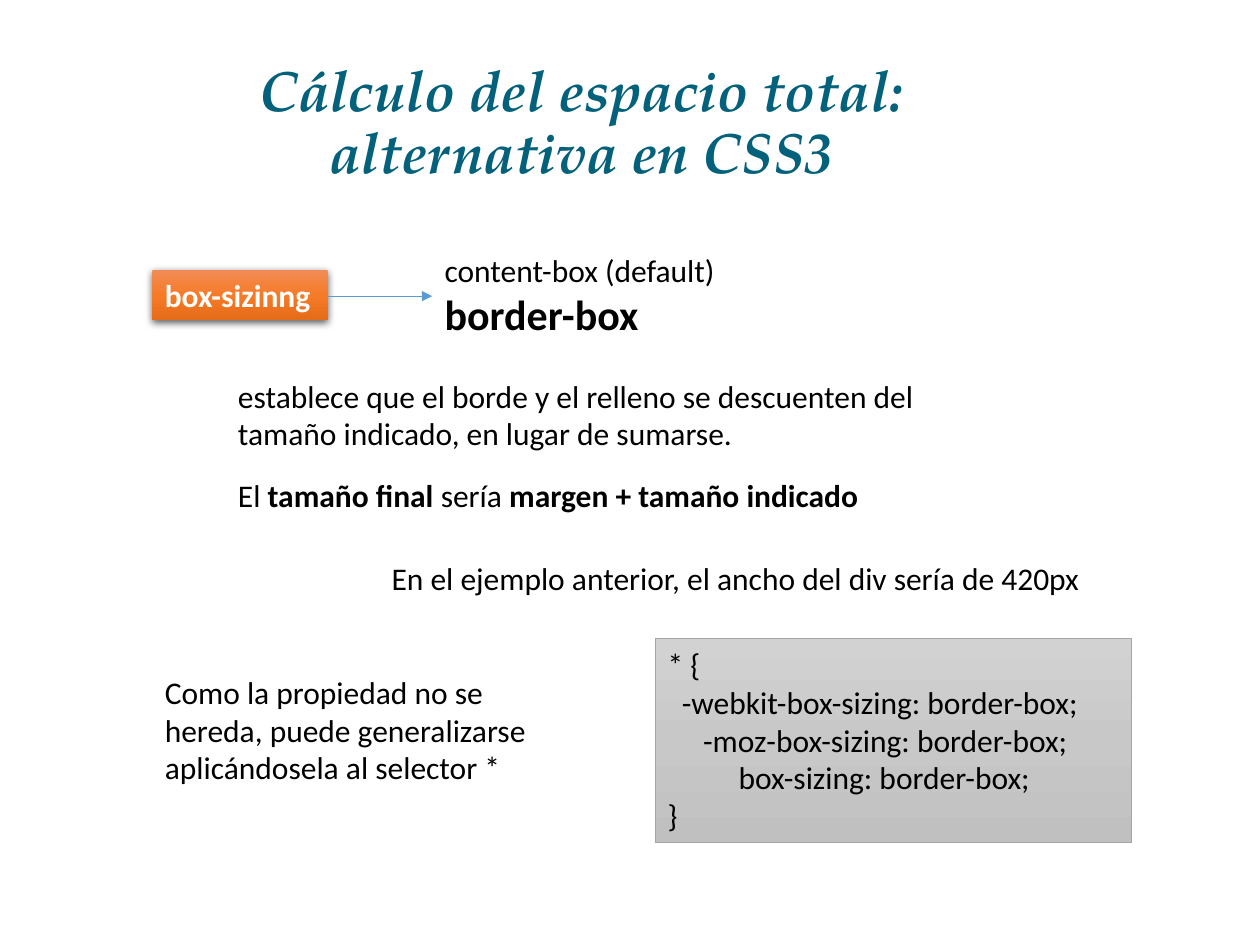
import pptx
import pptx.util
from lxml import etree
from pptx.dml.color import RGBColor
from pptx.enum.shapes import MSO_CONNECTOR, MSO_SHAPE
from pptx.enum.text import MSO_ANCHOR, PP_ALIGN
from pptx.oxml import parse_xml
from pptx.oxml.ns import nsdecls, qn

Inches, Pt = pptx.util.Inches, pptx.util.Pt

TEAL = RGBColor(0x04, 0x61, 0x7B)
BLACK = RGBColor(0, 0, 0)
WHITE = RGBColor(0xFF, 0xFF, 0xFF)
BLUE = RGBColor(0x5B, 0x9B, 0xD5)
GRAY = RGBColor(0xA5, 0xA5, 0xA5)
ORANGES = ("F18C57", "F67B28", "E56C19")
GRAYS = ("D2D2D2", "C8C8C8", "C0C0C0")

TITLE = "Cálculo del espacio total:\valternativa en CSS3"
LABEL = "box-sizinng"
VALUES = [("content-box (default)", 18, False), ("border-box", 24, True)]
# Left, top, width, height, then the runs as (text, bold)
NOTES = [
    (1.79, 2.94, 6.25, 0.71, [("establece que el borde y el relleno se descuenten del "
                               "tamaño indicado, en lugar de sumarse.", False)]),
    (1.79, 3.73, 5.51, 0.4, [("El ", False), ("tamaño final ", True),
                             ("sería ", False), ("margen + tamaño indicado", True)]),
    (3.01, 4.39, 5.83, 0.4, [("En el ejemplo anterior, el ancho del div sería de 420px", False)]),
    (1.21, 5.29, 3.24, 1.01, [("Como la propiedad no se hereda, puede generalizarse "
                               "aplicándosela al selector *", False)]),
]
CODE = [
    "* {",
    "  -webkit-box-sizing: border-box;",
    "     -moz-box-sizing: border-box;",
    "          box-sizing: border-box;",
    "}",
]


def style(font, size=18, color=BLACK, bold=False, name="Calibri"):
    font.name, font.size, font.bold = name, Pt(size), bold
    font.color.rgb = color


def add_text(slide, *place, wrap=True):
    frame = slide.shapes.add_textbox(*map(Inches, place)).text_frame
    frame.word_wrap = wrap
    return frame


def add_panel(slide, place, colors, lines, ink, bold=False):
    """Add a rectangle with a vertical gradient and left-aligned lines."""
    panel = slide.shapes.add_shape(MSO_SHAPE.RECTANGLE, *map(Inches, place))
    panel.shadow.inherit = False
    panel.line.fill.background()
    stops = "".join(f'<a:gs pos="{i * 50000}"><a:srgbClr val="{c}"/></a:gs>'
                    for i, c in enumerate(colors))
    panel._element.spPr.find(qn("a:prstGeom")).addnext(parse_xml(
        f'<a:gradFill {nsdecls("a")} rotWithShape="1"><a:gsLst>{stops}</a:gsLst>'
        '<a:lin ang="5400000" scaled="0"/></a:gradFill>'))
    frame = panel.text_frame
    frame.word_wrap = True
    frame.vertical_anchor = MSO_ANCHOR.TOP
    frame.text = "\n".join(lines)
    for para in frame.paragraphs:
        para.alignment = PP_ALIGN.LEFT
        style(para.font, color=ink, bold=bold)
    return panel


def add_arrow(slide, left, right, y):
    arrow = slide.shapes.add_connector(
        MSO_CONNECTOR.STRAIGHT, Inches(left), Inches(y), Inches(right), Inches(y))
    arrow.line.color.rgb = BLUE
    arrow.line.width = Pt(0.5)
    etree.SubElement(arrow.line._get_or_add_ln(), qn("a:tailEnd"), type="triangle")
    etree.SubElement(arrow._element.spPr, qn("a:effectLst"))


def main():
    deck = pptx.Presentation()
    deck.slide_width, deck.slide_height = Inches(10), Inches(7.5)
    slide = deck.slides.add_slide(deck.slide_layouts[6])

    frame = add_text(slide, 0.68, 0.42, 7.87, 1.13)
    frame.vertical_anchor = MSO_ANCHOR.MIDDLE
    para = frame.paragraphs[0]
    para.text = TITLE
    para.alignment = PP_ALIGN.CENTER
    para.line_spacing = 0.9
    style(para.font, 32.4, TEAL, True, "TeX Gyre Pagella")
    para.font.italic = True

    label = add_panel(slide, (1.21, 2.14, 1.39, 0.4), ORANGES, [LABEL], WHITE, True)
    label._element.spPr.find(qn("a:effectLst")).append(parse_xml(
        f'<a:outerShdw {nsdecls("a")} blurRad="57150" dist="19050" dir="5400000" '
        'algn="ctr" rotWithShape="0"><a:srgbClr val="000000">'
        '<a:alpha val="63000"/></a:srgbClr></a:outerShdw>'))
    add_arrow(slide, 2.6, 3.43, 2.35)

    frame = add_text(slide, 3.43, 1.94, 2.38, 0.81, wrap=False)
    frame.text = "\n".join(text for text, _, _ in VALUES)
    for para, (_, size, bold) in zip(frame.paragraphs, VALUES):
        style(para.font, size, bold=bold)

    for *place, runs in NOTES:
        para = add_text(slide, *place).paragraphs[0]
        style(para.font)
        for text, bold in runs:
            run = para.add_run()
            run.text = text
            style(run.font, bold=bold)

    code = add_panel(slide, (5.2, 5.07, 3.78, 1.62), GRAYS, CODE, BLACK)
    code.line.color.rgb = GRAY
    code.line.width = Pt(0.5)

    deck.save("out.pptx")


if __name__ == "__main__":
    main()
